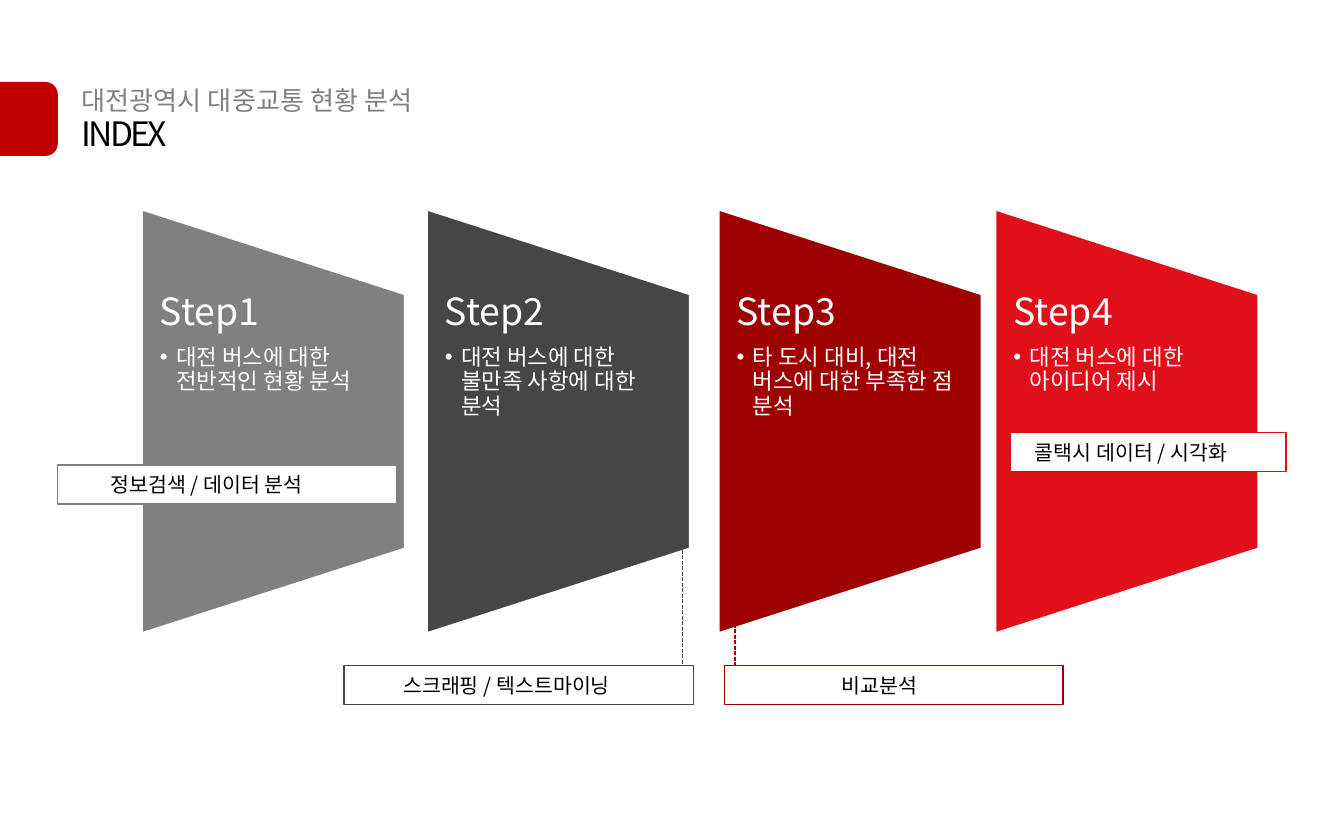
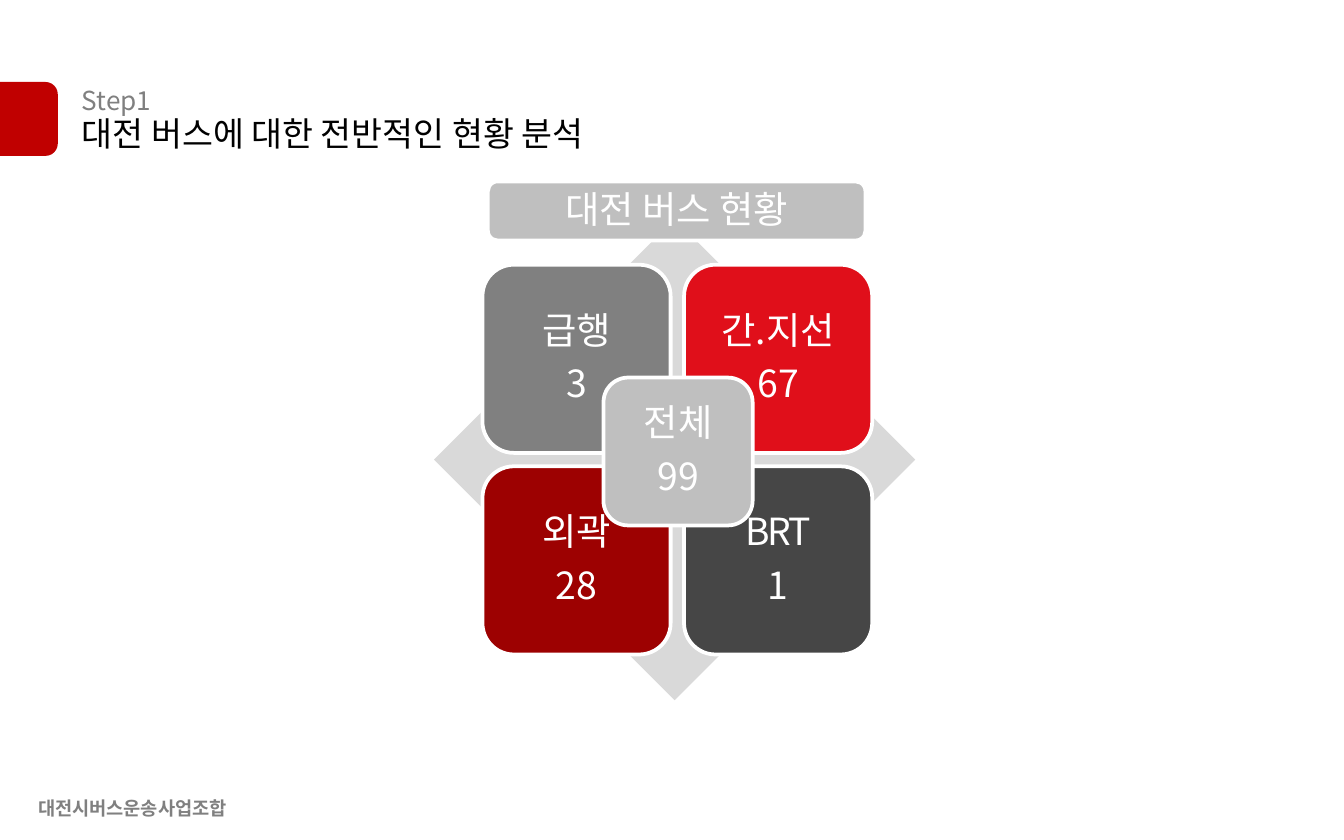
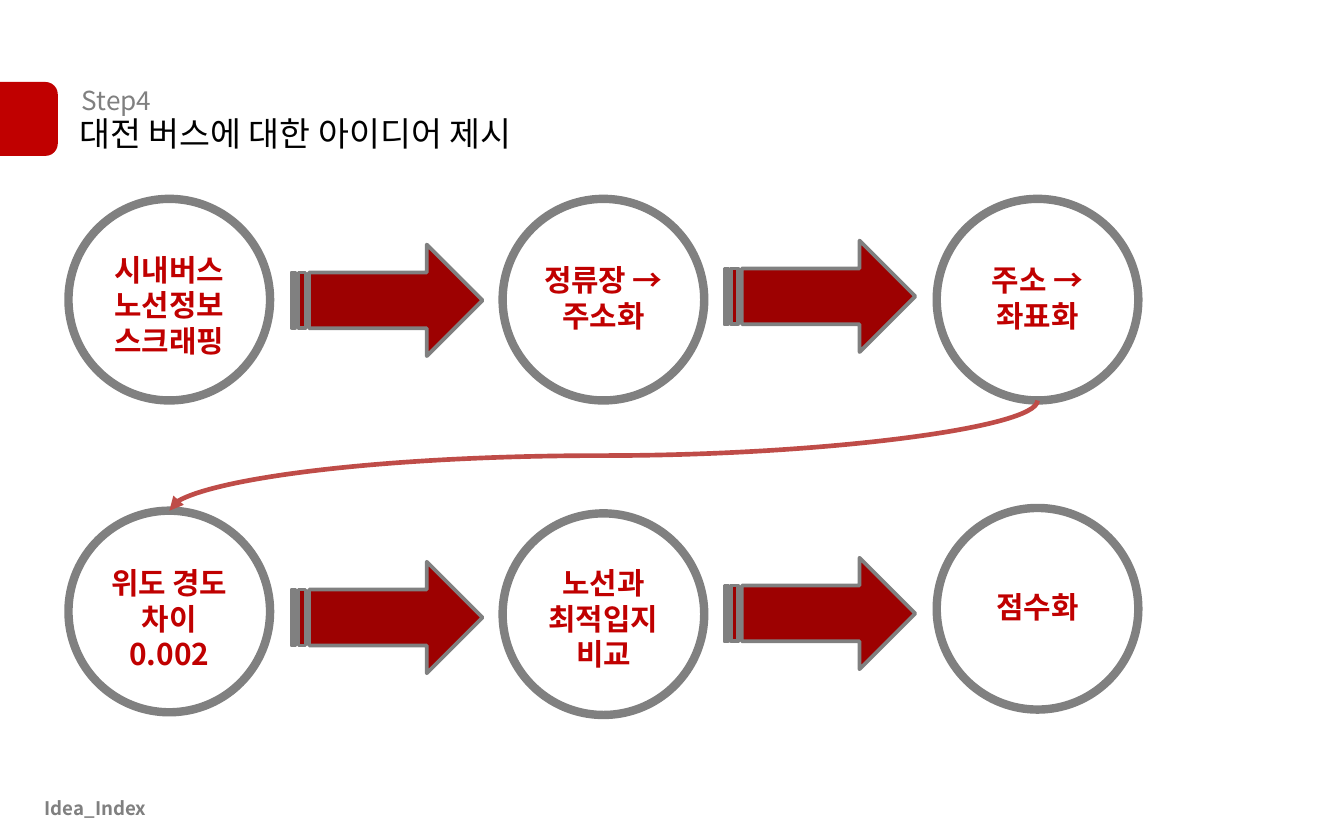
from lxml import etree
from pptx import Presentation, util as u
from pptx.dml.color import RGBColor
from pptx.enum import dml, shapes, text
from pptx.oxml.ns import qn

PX = 9144  # 100 px to the inch
FONT = "Noto Sans CJK KR"
WHITE, BLACK = "FFFFFF", "000000"
GREY, CHARCOAL, SILVER, PALE = "808080", "464646", "BFBFBF", "D9D9D9"
MAROON, RED, ACCENT, CURVE = "9D0101", "E00F1A", "C00000", "BF4C48"
LEFT, CENTER = text.PP_ALIGN.LEFT, text.PP_ALIGN.CENTER
TOP, MIDDLE = text.MSO_ANCHOR.TOP, text.MSO_ANCHOR.MIDDLE
SHAPE = shapes.MSO_SHAPE
TITLE_ONLY, FOUR_BODIES = 5, 4  # layouts of the default template


def px(*lengths):
    return [u.Emu(n * PX) for n in lengths]


def rgb(hex_color):
    return RGBColor.from_string(hex_color)


# Text
def add_run(p, words, size, color, bold=False, spacing=None):
    r = p.add_run()
    r.text = words
    r.font.size, r.font.bold, r.font.name = u.Pt(size), bold, FONT
    r.font.color.rgb = rgb(color)
    rPr = r.font._element
    etree.SubElement(rPr, qn("a:ea")).set("typeface", FONT)
    if spacing is not None:
        rPr.set("spc", str(spacing))


def set_frame(sp, anchor=TOP, insets=(10, 5, 10, 5)):
    tf = sp.text_frame
    tf.word_wrap, tf.auto_size = True, text.MSO_AUTO_SIZE.NONE
    tf.vertical_anchor = anchor
    tf.margin_left, tf.margin_top, tf.margin_right, tf.margin_bottom = px(*insets)
    return tf


def add_paragraph(tf, first, align=LEFT, line=1.0, after=0):
    p = tf.paragraphs[0] if first else tf.add_paragraph()
    p.alignment, p.line_spacing = align, line
    p.space_before, p.space_after = u.Pt(0), u.Pt(after)
    return p


def write(sp, lines, size, color, bold=False, align=LEFT, anchor=TOP,
          insets=(10, 5, 10, 5), line=1.0, after=0, spacing=None):
    """Spacing, if given, is for the first line only."""
    tf = set_frame(sp, anchor, insets)
    for i, words in enumerate(lines):
        p = add_paragraph(tf, i == 0, align, line, after)
        add_run(p, words, size, color, bold, spacing if i == 0 else None)


def add_text(s, at, lines, size, color, **style):
    write(s.shapes.add_textbox(*px(*at)), lines, size, color, **style)


def place(ph, at):
    ph.left, ph.top, ph.width, ph.height = px(*at)


# Shapes and lines
def add_shape(s, kind, at, fill, line=None, width=2):
    sp = s.shapes.add_shape(kind, *px(*at))
    sp.shadow.inherit = False
    sp.fill.solid()
    sp.fill.fore_color.rgb = rgb(fill)
    if line:
        sp.line.color.rgb = rgb(line)
        sp.line.width = u.Pt(width)
    else:
        sp.line.fill.background()
    return sp


def add_line(s, kind, ends, color, width):
    cx = s.shapes.add_connector(kind, *px(*ends))
    cx.line.color.rgb = rgb(color)
    cx.line.width = u.Pt(width)
    etree.SubElement(cx.element.spPr, qn("a:effectLst"))
    return cx


# Parts shared by the slides
def add_slide(prs, layout, kicker, title, title_left=51, spacing=None):
    s = prs.slides.add_slide(prs.slide_layouts[layout])
    add_text(s, (51, 58, 520, 34), [kicker], 14, GREY)
    place(s.shapes.title, (title_left, 79, 520, 40))
    write(s.shapes.title, [title], 18, BLACK, spacing=spacing)
    add_shape(s, SHAPE.ROUNDED_RECTANGLE, (-12, 61, 55, 55), ACCENT)
    return s


def add_footer(s, words, width):
    add_text(s, (12, 588, width, 27), [words], 10, GREY, bold=True, align=CENTER)


# Index slide
def add_step(s, number, left, fill, summary):
    panel = add_shape(s, SHAPE.FLOWCHART_MANUAL_OPERATION,
                      (left - 60, 215, 317, 197), fill, WHITE)
    panel.rotation = 270
    body = s.placeholders[number]
    place(body, (left, 218, 197, 190))
    s.shapes.element.append(body.element)  # in front of its panel
    tf = set_frame(body, insets=(14, 0, 14, 0))
    rows = [(f"Step{number}", 20, 7, 0, None), (summary, 12, 2, 12, "•")]
    for i, (words, size, after, indent, bullet) in enumerate(rows):
        p = add_paragraph(tf, i == 0, line=0.9, after=after)
        pPr = p._p.get_or_add_pPr()
        pPr.set("marL", str(indent * PX))
        pPr.set("indent", str(-indent * PX))
        if bullet:
            etree.SubElement(pPr, qn("a:buChar")).set("char", bullet)
        else:
            etree.SubElement(pPr, qn("a:buNone"))
        add_run(p, words, size, WHITE)


def add_method(s, at, color, words, indent):
    sp = add_shape(s, SHAPE.RECTANGLE, at, WHITE, color, 0.75)
    write(sp, [words], 11, BLACK, anchor=MIDDLE, insets=(indent, 5, 5, 5))


def build_index(prs):
    s = add_slide(prs, FOUR_BODIES, "대전광역시 대중교통 현황 분석", "INDEX", spacing=-150)
    steps = [
        (105, GREY, "대전 버스에 대한 전반적인 현황 분석"),
        (317, CHARCOAL, "대전 버스에 대한 불만족 사항에 대한 분석"),
        (534, MAROON, "타 도시 대비, 대전 버스에 대한 부족한 점 분석"),
        (740, RED, "대전 버스에 대한 아이디어 제시"),
    ]
    for number, step in enumerate(steps, 1):
        add_step(s, number, *step)
    add_method(s, (43, 346, 252, 29), GREY, "정보검색 / 데이터 분석", 39)
    add_method(s, (256, 495, 260, 29), CHARCOAL, "스크래핑 / 텍스트마이닝", 44)
    add_method(s, (539, 495, 252, 29), MAROON, "비교분석", 87)
    add_method(s, (752, 322, 205, 29), RED, "콜택시 데이터 / 시각화", 18)
    for x, top, color in [(508, 409, CHARCOAL), (547, 456, MAROON)]:
        cx = add_line(s, shapes.MSO_CONNECTOR.STRAIGHT, (x, top, x, 495), color, 0.75)
        cx.line.dash_style = dml.MSO_LINE.SQUARE_DOT


# Bus overview slide
def add_tile(s, at, fill, lines, spacing=None):
    sp = add_shape(s, SHAPE.ROUNDED_RECTANGLE, at, fill, WHITE)
    write(sp, lines, 20, WHITE, align=CENTER, anchor=MIDDLE, insets=(0, 0, 0, 0),
          line=0.9, after=7, spacing=spacing)


def build_overview(prs):
    s = add_slide(prs, TITLE_ONLY, "Step1", "대전 버스에 대한 전반적인 현황 분석")
    add_footer(s, "대전시버스운송사업조합", 173)
    add_shape(s, SHAPE.DIAMOND, (323, 163, 358, 358), PALE)
    routes = [
        (GREY, ["급행", "3"], None), (RED, ["간.지선", "67"], None),
        (MAROON, ["외곽", "28"], None), (CHARCOAL, ["BRT", "1"], -150),
    ]
    for i, route in enumerate(routes):
        row, col = divmod(i, 2)
        add_tile(s, (359 + 150 * col, 197 + 150 * row, 140, 140), *route)
    add_tile(s, (449, 281, 111, 110), SILVER, ["전체", "99"])
    add_tile(s, (363, 135, 281, 44), SILVER, ["대전 버스 현황"])


# Idea process slide
def add_stage(s, left, top, text_top, lines):
    add_shape(s, SHAPE.OVAL, (left, top, 150, 150), WHITE, GREY, 4.5)
    add_text(s, (left, text_top, 150, 10 + 27 * len(lines)), lines, 16, ACCENT,
             bold=True, align=CENTER)


def build_idea(prs):
    s = add_slide(prs, TITLE_ONLY, "Step4", "대전 버스에 대한 아이디어 제시", title_left=49)
    add_footer(s, "Idea_Index", 118)
    stages = [
        (148, 182, ["시내버스", "노선정보", "스크래핑"]),
        (148, 190, ["정류장 →", "주소화"]),
        (148, 190, ["주소 →", "좌표화"]),
        (380, 415, ["위도 경도", "차이", "0.002"]),
        (382, 415, ["노선과", "최적입지", "비교"]),
        (378, 433, ["점수화"]),
    ]
    pitch = 323
    for i, stage in enumerate(stages):
        add_stage(s, 51 + pitch * (i % 3), *stage)
    for row_top in (182, 418):
        for col in range(2):
            add_shape(s, SHAPE.STRIPED_RIGHT_ARROW,
                      (217 + 322 * col, row_top - 3 * col, 142, 83), MAROON, GREY)
    # Return curve from the third stage to the fourth, turned to run downwards
    cx = add_line(s, shapes.MSO_CONNECTOR.CURVE, (408, 16, 490, 662), CURVE, 2.5)
    cx.rotation = 90
    etree.SubElement(cx.line._get_or_add_ln(), qn("a:tailEnd")).set("type", "triangle")


def main():
    prs = Presentation()
    prs.slide_width, prs.slide_height = px(1000, 625)
    build_index(prs)
    build_overview(prs)
    build_idea(prs)
    prs.save("out.pptx")


if __name__ == "__main__":
    main()
